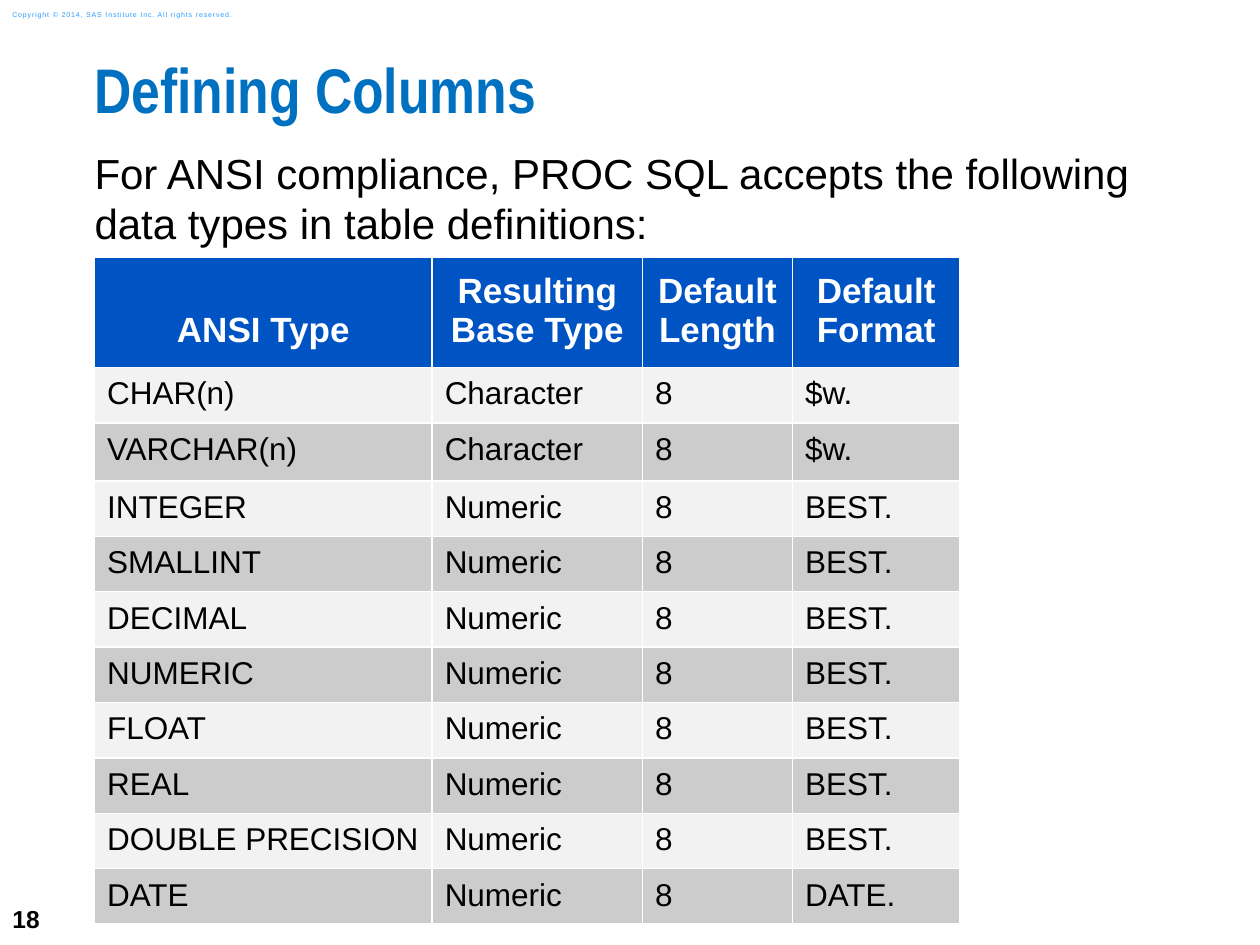
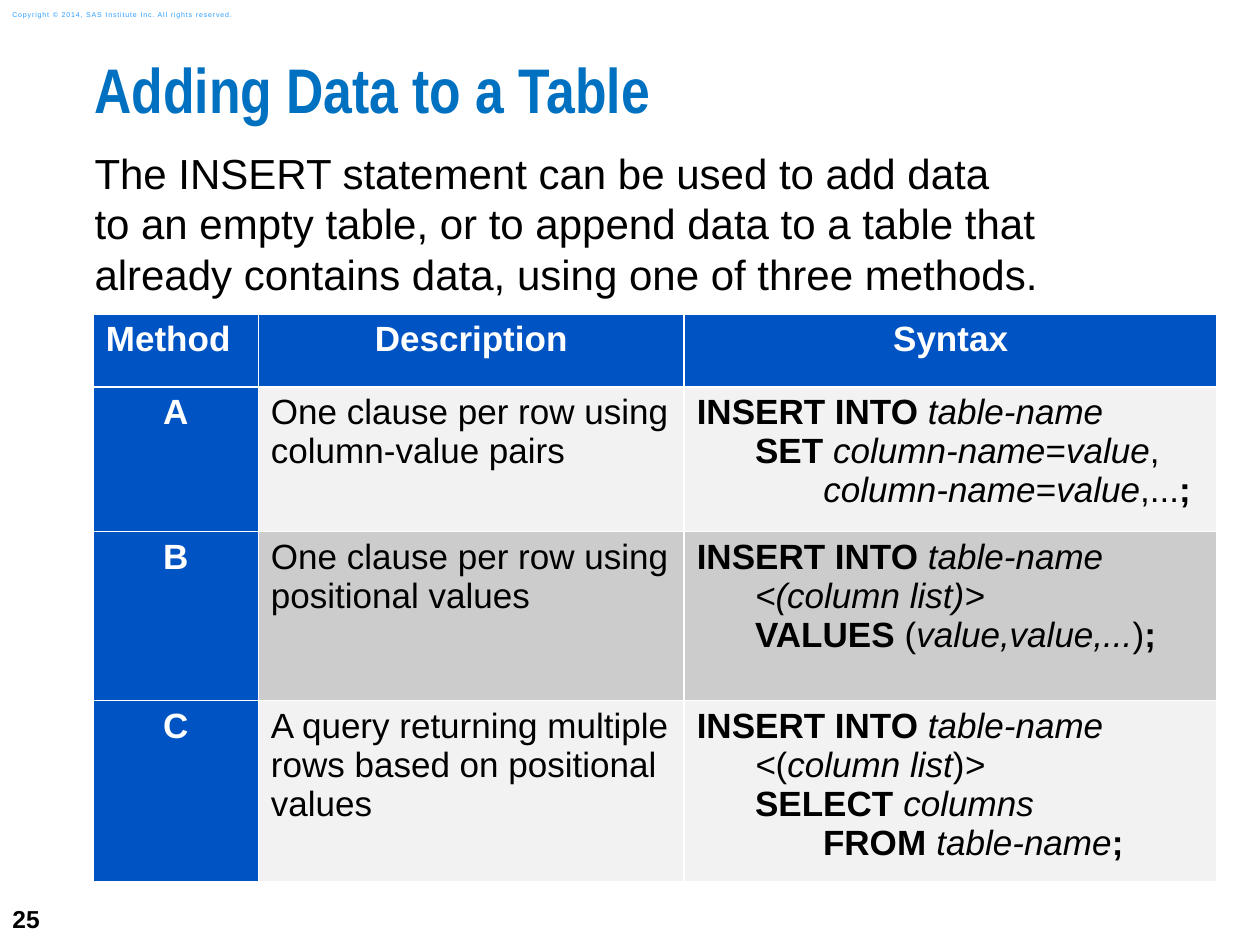
"""Build two slides about defining SQL columns and inserting table rows."""
from lxml import etree
from pptx import Presentation
from pptx.dml.color import RGBColor
from pptx.enum.text import MSO_ANCHOR, MSO_AUTO_SIZE, PP_ALIGN
from pptx.oxml.ns import qn
from pptx.util import Inches, Pt

TOP, MIDDLE, BOTTOM = MSO_ANCHOR.TOP, MSO_ANCHOR.MIDDLE, MSO_ANCHOR.BOTTOM
LEFT, CENTER = PP_ALIGN.LEFT, PP_ALIGN.CENTER
NO_AUTOFIT = MSO_AUTO_SIZE.NONE

TITLE_BLUE = RGBColor(0x00, 0x70, 0xC0)
HEADER_BLUE = RGBColor(0x00, 0x53, 0xC3)
COPYRIGHT_BLUE = RGBColor(0x2A, 0x9C, 0xFF)
BLACK = RGBColor(0x00, 0x00, 0x00)
WHITE = RGBColor(0xFF, 0xFF, 0xFF)
BANDS = [RGBColor(0xF2, 0xF2, 0xF2), RGBColor(0xCC, 0xCC, 0xCC)]
COPYRIGHT = "Copyright © 2014, SAS Institute Inc. All rights reserved."

ansi_types = [["ANSI Type", "Resulting Base Type", "Default Length", "Default Format"]]
ansi_types += [[name, "Character", "8", "$w."] for name in ("CHAR(n)", "VARCHAR(n)")]
ansi_types += [
    [name, "Numeric", "8", "BEST."]
    for name in ("INTEGER", "SMALLINT", "DECIMAL", "NUMERIC", "FLOAT", "REAL", "DOUBLE PRECISION")
]
ansi_types.append(["DATE", "Numeric", "8", "DATE."])

insert_into = [("INSERT INTO ", "b"), ("table-name", "i")]
column_value = [("column-name", "i"), ("=", ""), ("value", "i")]
set_syntax = [
    insert_into,
    [("      SET ", "b"), *column_value, (",", "")],
    [("             ", ""), *column_value, (",...", ""), (";", "b")],
]
values_syntax = [
    insert_into,
    [("      <(column list)>", "i")],
    [("      VALUES ", "b"), ("(", ""), ("value,value,...", "i"), (")", ""), (";", "b")],
]
select_syntax = [
    insert_into,
    [("      <", "i"), ("(", ""), ("column list", "i"), (")", ""), (">", "i")],
    [("      SELECT ", "b"), ("columns", "i")],
    [("             FROM ", "b"), ("table-name", "i"), (";", "b")],
]
insert_methods = [
    ["Method", "Description", "Syntax"],
    ["A", "One clause per row using column-value pairs", set_syntax],
    ["B", "One clause per row using positional values", values_syntax],
    ["C", "A query returning multiple rows based on positional values", select_syntax],
]

topics = [
    {
        "number": "18",
        "title": "Defining Columns",
        "intro": "For ANSI compliance, PROC SQL accepts the following data types in table definitions:",
        "intro_size": (8.5, 0.91),
        "rows": ansi_types,
        "origin": (0.75, 2.04),
        "widths": [2.68, 1.67, 1.19, 1.33],
        "heights": [0.85, 0.44, 0.46] + [0.44] * 8,
        "text_size": 18,
        "header_insets": (0.07, 0.14),
        "body_inset": 0.07,
        "header_anchor": BOTTOM,
        "label_column": False,
    },
    {
        "number": "25",
        "title": "Adding Data to a Table",
        "intro": "The INSERT statement can be used to add data\vto an empty table, or to append data "
                 "to a table that already contains data, using one of three methods.",
        "intro_size": (8.58, 1.27),
        "rows": insert_methods,
        "origin": (0.74, 2.49),
        "widths": [1.31, 3.38, 4.23],
        "heights": [0.58, 1.15, 1.34, 1.43],
        "text_size": 20,
        "header_insets": (0.05, 0.05),
        "body_inset": 0.05,
        "header_anchor": TOP,
        "label_column": True,
    },
]


def format_text(frame, size, color, font="Arial", bold=None, align=LEFT, spacing=1.0):
    """Format every paragraph and run of a text frame."""
    for paragraph in frame.paragraphs:
        paragraph.alignment = align
        paragraph.line_spacing = spacing
        paragraph.space_before = paragraph.space_after = Pt(0)
        for run in paragraph.runs:
            run.font.name = font
            run.font.size = Pt(size)
            run.font.color.rgb = color
            if bold is not None:
                run.font.bold = bold


def add_white_borders(cell):
    """Give a table cell thin white borders."""
    properties = cell._tc.get_or_add_tcPr()
    for side in ("lnL", "lnR", "lnT", "lnB"):
        line = etree.SubElement(properties, qn(f"a:{side}"), w=str(Pt(1)))
        fill = etree.SubElement(line, qn("a:solidFill"))
        etree.SubElement(fill, qn("a:srgbClr"), val=str(WHITE))


prs = Presentation()
prs.slide_width, prs.slide_height = Inches(10), Inches(7.5)

for topic in topics:
    slide = prs.slides.add_slide(prs.slide_layouts[1])

    page_number = slide.shapes.add_textbox(Inches(0), Inches(7.08), Inches(0.58), Inches(0.42))
    page_number.text_frame.text = topic["number"]
    page_number.text_frame.vertical_anchor = MIDDLE
    format_text(page_number.text_frame, 14, BLACK, bold=True)

    copyright_line = slide.shapes.add_textbox(Inches(0), Inches(0.03), Inches(2.11), Inches(0.17))
    copyright_line.text_frame.text = COPYRIGHT
    copyright_line.text_frame.word_wrap = True
    copyright_line.text_frame.vertical_anchor = MIDDLE
    format_text(copyright_line.text_frame, 4, COPYRIGHT_BLUE)
    copyright_line.text_frame.paragraphs[0].runs[0].font._element.set("spc", "50")

    title, intro = slide.shapes.title, slide.placeholders[1]
    title.left, title.top, title.width, title.height = map(Inches, (0.75, 0.5, 9.25, 0.75))
    intro.left, intro.top = Inches(0.75), Inches(1.17)
    intro.width, intro.height = map(Inches, topic["intro_size"])
    for placeholder, text in ((title, topic["title"]), (intro, topic["intro"])):
        frame = placeholder.text_frame
        frame.text = text
        frame.auto_size = NO_AUTOFIT
        frame.vertical_anchor = TOP
        frame.margin_left = frame.margin_right = frame.margin_top = frame.margin_bottom = 0
    intro_properties = intro.text_frame.paragraphs[0]._p.get_or_add_pPr()
    intro_properties.set("marL", "0")
    intro_properties.set("indent", "0")
    etree.SubElement(intro_properties, qn("a:buNone"))
    format_text(title.text_frame, 36, TITLE_BLUE, font="Arial Narrow", bold=True, spacing=0.83)
    format_text(intro.text_frame, 24, BLACK)

    rows, widths, heights = topic["rows"], topic["widths"], topic["heights"]
    table = slide.shapes.add_table(
        len(rows), len(widths), *map(Inches, (*topic["origin"], sum(widths), sum(heights)))
    ).table
    for column, width in zip(table.columns, widths):
        column.width = Inches(width)
    for row, height in zip(table.rows, heights):
        row.height = Inches(height)

    body_insets = (topic["body_inset"], topic["body_inset"])
    for r, row_values in enumerate(rows):
        for c, value in enumerate(row_values):
            cell = table.cell(r, c)
            is_header = r == 0
            is_label = is_header or (topic["label_column"] and c == 0)
            insets = topic["header_insets"] if is_header else body_insets
            cell.margin_left = cell.margin_right = Inches(0.1)
            cell.margin_top, cell.margin_bottom = map(Inches, insets)
            cell.vertical_anchor = topic["header_anchor"] if is_header else TOP
            add_white_borders(cell)
            cell.fill.solid()
            cell.fill.fore_color.rgb = HEADER_BLUE if is_label else BANDS[(r - 1) % 2]

            frame = cell.text_frame
            if isinstance(value, str):
                frame.text = value
            else:
                for i, code_line in enumerate(value):
                    paragraph = frame.add_paragraph() if i else frame.paragraphs[0]
                    for text, emphasis in code_line:
                        run = paragraph.add_run()
                        run.text = text
                        run.font.bold = emphasis == "b"
                        run.font.italic = emphasis == "i"
            format_text(
                frame,
                20 if is_header else topic["text_size"],
                WHITE if is_label else BLACK,
                bold=is_label if isinstance(value, str) else None,
                align=CENTER if is_label and value != "Method" else LEFT,
            )

prs.save("out.pptx")
